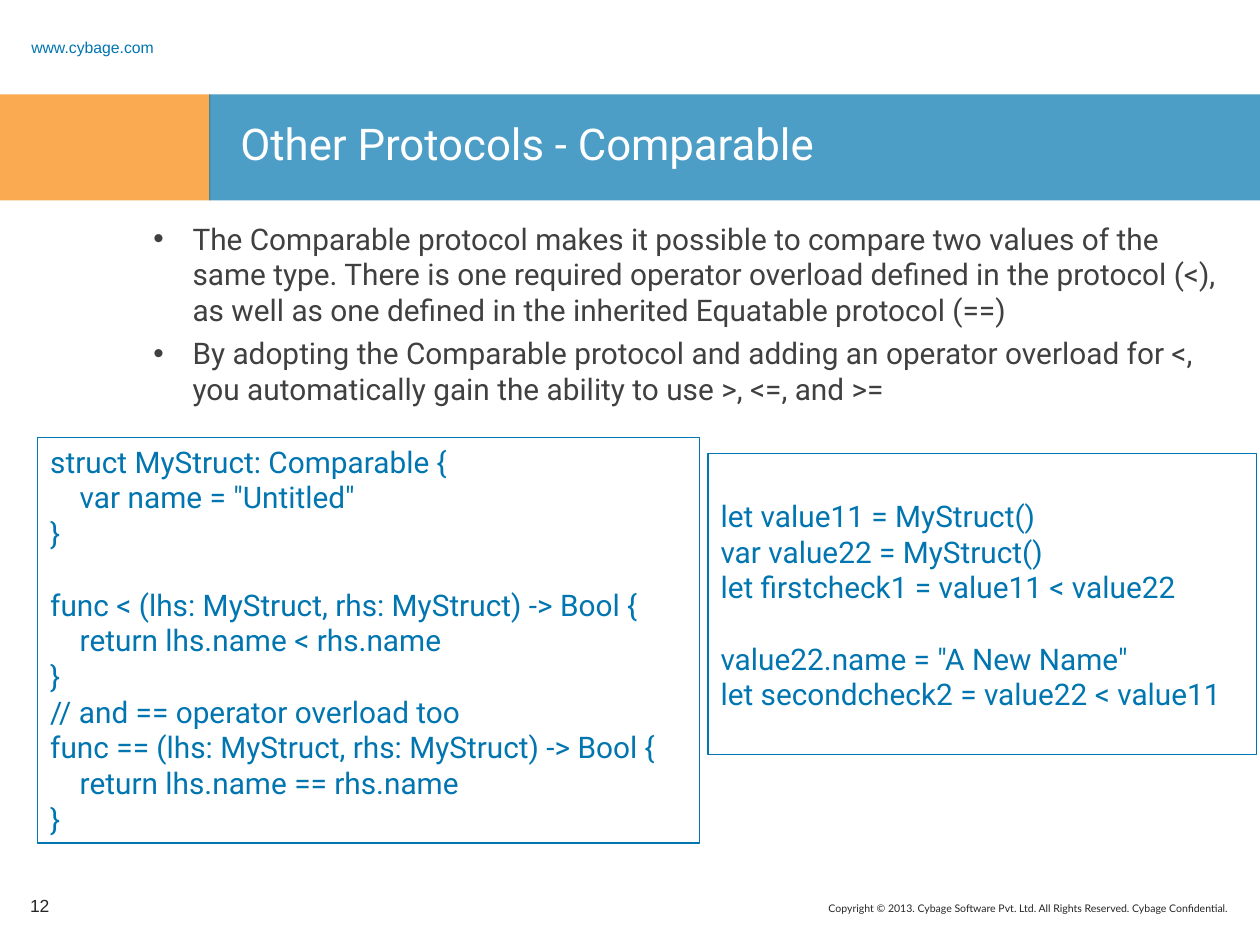
from dataclasses import dataclass

from lxml import etree
from pptx import Presentation
from pptx.dml.color import RGBColor
from pptx.enum.shapes import MSO_SHAPE
from pptx.enum.text import MSO_ANCHOR, PP_ALIGN
from pptx.oxml.ns import qn
from pptx.util import Inches, Pt

RECTANGLE = MSO_SHAPE.RECTANGLE
TOP, MIDDLE = MSO_ANCHOR.TOP, MSO_ANCHOR.MIDDLE
LEFT, RIGHT = PP_ALIGN.LEFT, PP_ALIGN.RIGHT


@dataclass(frozen=True)
class Theme:
    blue: str = "0075B0"
    orange: str = "F88608"
    white: str = "FFFFFF"
    body_gray: str = "404040"
    footer_gray: str = "262626"
    heading_font: str = "Roboto"
    small_font: str = "Arial"
    footer_font: str = "Lato"
    title_size: float = 25
    body_size: float = 17
    number_size: float = 10
    web_size: float = 9
    footer_size: float = 6
    code_gap: float = 20.4
    bullet_gap: float = 4.2


theme = Theme()


def add_text(box, text, *, color, size, font=theme.heading_font, align=LEFT,
             anchor=TOP, top_inset=0.05, line_spacing=None, gap=0, bullet=False):
    """Write each line as a paragraph; an empty line becomes space before the next."""
    frame = box.text_frame
    frame.word_wrap = True
    frame.vertical_anchor = anchor
    frame.margin_left = frame.margin_right = Inches(0.1)
    frame.margin_top, frame.margin_bottom = Inches(top_inset), Inches(0.05)
    lines = text.split("\n")
    for index, line in enumerate(lines):
        if not line:
            continue
        para = frame.add_paragraph() if index else frame.paragraphs[0]
        para.alignment = align
        if line_spacing:
            para.line_spacing = line_spacing
        if index and (bullet or not lines[index - 1]):
            para.space_before = Pt(gap)
        if bullet:
            properties = para._p.get_or_add_pPr()
            properties.set("marL", str(Inches(0.31)))
            properties.set("indent", str(-Inches(0.31)))
            etree.SubElement(properties, qn("a:buFont"), typeface="Arial")
            etree.SubElement(properties, qn("a:buChar"), char="•")
        span = para.add_run()
        span.text = line
        span.font.name = font
        span.font.size = Pt(size)
        span.font.color.rgb = RGBColor.from_string(color)


deck = Presentation()
deck.slide_width, deck.slide_height = Inches(10), Inches(7.5)
page = deck.slides.add_slide(deck.slide_layouts[6])

# Header band
for left, width, color in [(0, 1.67, theme.orange), (1.66, 8.34, theme.blue)]:
    band = page.shapes.add_shape(
        RECTANGLE, Inches(left), Inches(0.75), Inches(width), Inches(0.84))
    band.shadow.inherit = False
    band.line.fill.background()
    band.fill.solid()
    band.fill.fore_color.rgb = RGBColor.from_string(color)
    color_element = band._element.spPr.find(qn("a:solidFill"))[0]
    etree.SubElement(color_element, qn("a:alpha"), val="70000")

# Title, body and page furniture
bullets = (
    "The Comparable protocol makes it possible to compare two values of the "
    "same type. There is one required operator overload defined in the "
    "protocol (<), as well as one defined in the inherited Equatable protocol (==)\n"
    "By adopting the Comparable protocol and adding an operator overload for <, "
    "you automatically gain the ability to use >, <=, and >="
)
texts = [
    ((4.08, 7.11, 5.76, 0.26),
     "Copyright © 2013. Cybage Software Pvt. Ltd. All Rights Reserved. Cybage Confidential.",
     dict(color=theme.footer_gray, size=theme.footer_size,
          font=theme.footer_font, align=RIGHT)),
    ((0.15, 0.24, 1.5, 0.19), "www.cybage.com",
     dict(color=theme.blue, size=theme.web_size, font=theme.small_font,
          anchor=MIDDLE, line_spacing=1.5)),
    ((1.81, 0.88, 7.94, 0.62), "Other Protocols - Comparable",
     dict(color=theme.white, size=theme.title_size)),
    ((0.14, 6.99, 0.54, 0.4), "12",
     dict(color=theme.footer_gray, size=theme.number_size,
          font=theme.small_font, anchor=MIDDLE)),
    ((1.12, 1.7, 8.64, 5.57), bullets,
     dict(color=theme.body_gray, size=theme.body_size,
          gap=theme.bullet_gap, bullet=True)),
]
for bounds, text, text_format in texts:
    box = page.shapes.add_textbox(*map(Inches, bounds))
    add_text(box, text, **text_format)

# Code panels
struct_code = """struct MyStruct: Comparable {
    var name = "Untitled"
}

func < (lhs: MyStruct, rhs: MyStruct) -> Bool {
    return lhs.name < rhs.name
}
// and == operator overload too
func == (lhs: MyStruct, rhs: MyStruct) -> Bool {
    return lhs.name == rhs.name
}"""
usage_code = """let value11 = MyStruct()
var value22 = MyStruct()
let firstcheck1 = value11 < value22

value22.name = "A New Name"
let secondcheck2 = value22 < value11"""

for bounds, code, top_inset in [
    ((0.3, 3.47, 5.25, 3.22), struct_code, 0.05),
    ((5.62, 3.6, 4.35, 2.39), usage_code, 0.35),
]:
    panel = page.shapes.add_shape(RECTANGLE, *map(Inches, bounds))
    panel.shadow.inherit = False
    panel.fill.background()
    panel.line.color.rgb = RGBColor.from_string(theme.blue)
    panel.line.width = Pt(0.75)
    add_text(panel, code, color=theme.blue, size=theme.body_size,
             top_inset=top_inset, gap=theme.code_gap)

deck.save("out.pptx")
